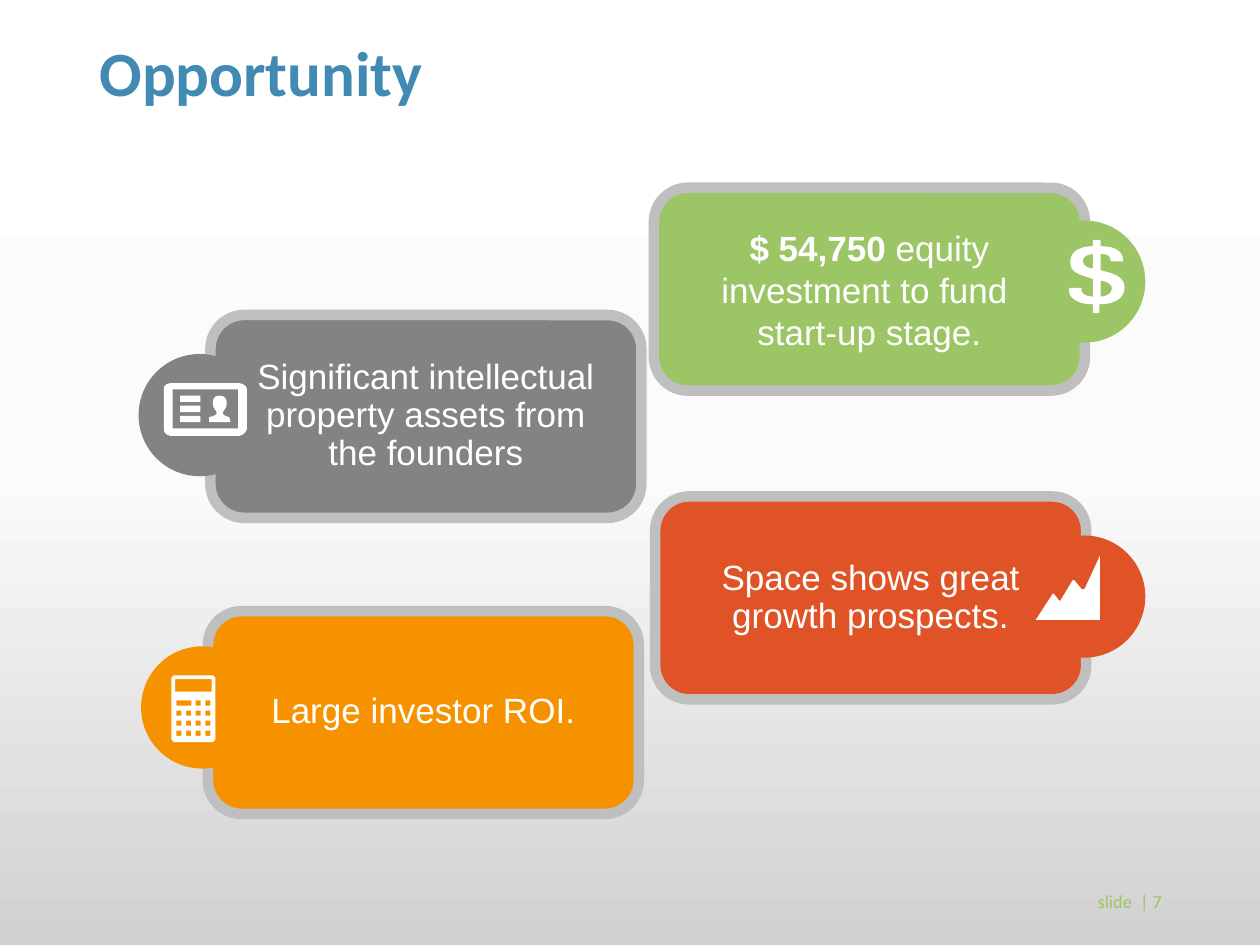
import copy

import pptx
import pptx.dml.color
import pptx.enum.shapes
import pptx.enum.text
import pptx.oxml.ns
import pptx.util

Inches = pptx.util.Inches
Pt = pptx.util.Pt
RGB = pptx.dml.color.RGBColor
SHAPES = pptx.enum.shapes.MSO_SHAPE
ALIGN = pptx.enum.text.PP_ALIGN
MIDDLE = pptx.enum.text.MSO_ANCHOR.MIDDLE

BLUE = RGB(0x41, 0x8A, 0xB3)
GRAY = RGB(0x83, 0x83, 0x83)
RED = RGB(0xDF, 0x53, 0x27)
ORANGE = RGB(0xF6, 0x92, 0x00)
GREEN = RGB(0x9C, 0xC5, 0x65)
BORDER = RGB(0xBF, 0xBF, 0xBF)
WHITE = RGB(0xFF, 0xFF, 0xFF)
BACKGROUND = [(0, WHITE), (0.5, RGB(0xFB, 0xFB, 0xFB)), (1, RGB(0xD1, 0xD1, 0xD1))]


def write(box, paragraphs, align, spacing, size, name, color):
    """Fill a box with paragraphs, each a list of (text, bold) spans."""
    frame = box.text_frame
    frame.word_wrap = True
    frame.vertical_anchor = MIDDLE
    for number, spans in enumerate(paragraphs):
        para = frame.add_paragraph() if number else frame.paragraphs[0]
        para.alignment = align
        para.line_spacing = spacing
        for text, bold in spans:
            span = para.add_run()
            span.text = text
            span.font.color.rgb = color
            for key, value in {"size": Pt(size), "name": name, "bold": bold}.items():
                setattr(span.font, key, value)


def draw_icon(contours):
    """Draw closed contours; pairs are corners, six numbers are a curve."""
    builder = None
    for start, *steps in contours:
        points = [start]
        for step in steps:
            if len(step) == 2:
                points.append(step)
                continue
            curve = [points[-1], step[:2], step[2:4], step[4:]]
            for t in (i / 8 for i in range(1, 9)):
                weights = ((1 - t) ** 3, 3 * t * (1 - t) ** 2, 3 * t * t * (1 - t), t ** 3)
                points.append(tuple(sum(w * p[axis] for w, p in zip(weights, curve))
                                    for axis in (0, 1)))
        points = [(Inches(x), Inches(y)) for x, y in points]
        if builder is None:
            builder = page.shapes.build_freeform(*points[0])
        else:
            builder.move_to(*points[0])
        builder.add_line_segments(points[1:], close=True)
    icon = builder.convert_to_shape()
    icon.shadow.inherit = False
    icon.fill.solid()
    icon.fill.fore_color.rgb = WHITE
    icon.line.fill.background()
    return icon


deck = pptx.Presentation()
deck.slide_width, deck.slide_height = Inches(10), Inches(7.5)
page = deck.slides.add_slide(deck.slide_layouts[5])

# Background gradient
fill = page.background.fill
fill.gradient()
fill.gradient_angle = 270
stop_list = page.element.find(".//" + pptx.oxml.ns.qn("a:gsLst"))
stop_list.append(copy.deepcopy(stop_list[-1]))
for stop, (position, color) in zip(fill.gradient_stops, BACKGROUND):
    stop.position = position
    stop.color.rgb = color

# Title
title = page.shapes.title
title.left, title.top = Inches(0.69), Inches(0.29)
title.width, title.height = Inches(8.62), Inches(0.63)
title.text_frame.auto_size = pptx.enum.text.MSO_AUTO_SIZE.NONE
write(title, [[("Opportunity", True)]], ALIGN.LEFT, 0.9, 36, "Calibri", BLUE)

# Cards
cards = [
    (1.67, 2.5, GRAY, 0.9,
     [[("Significant intellectual property assets from the founders", False)]]),
    (5.2, 3.94, RED, 0.9, [[("Space shows great growth prospects.", False)]]),
    (1.65, 4.85, ORANGE, 0.9, [[("Large investor ROI.", False)]]),
    (5.19, 1.49, GREEN, 1.0,
     [[("$ 54,750 ", True), ("equity investment to fund ", False)],
      [("start-up stage.", False)]]),
]
for left, top, color, spacing, paragraphs in cards:
    card = page.shapes.add_shape(SHAPES.ROUNDED_RECTANGLE, Inches(left), Inches(top),
                                 Inches(3.42), Inches(1.61))
    card.shadow.inherit = False
    card.fill.solid()
    card.fill.fore_color.rgb = color
    card.line.color.rgb = BORDER
    card.line.width = Pt(6)
    insets = {"margin_left": 0.26, "margin_right": 0.26,
              "margin_top": 0.29, "margin_bottom": 0.29}
    for key, value in insets.items():
        setattr(card.text_frame, key, Inches(value))
    write(card, paragraphs, ALIGN.CENTER, spacing, 20, "Arial", WHITE)

# Icon discs
for left, top, color in [(1.1, 2.81, GRAY), (8.12, 4.25, RED),
                         (8.12, 1.75, GREEN), (1.12, 5.13, ORANGE)]:
    disc = page.shapes.add_shape(SHAPES.OVAL, Inches(left), Inches(top),
                                 Inches(0.97), Inches(0.97))
    disc.shadow.inherit = False
    disc.fill.solid()
    disc.fill.fore_color.rgb = color
    disc.line.fill.background()

# Identity card icon: frame, window, text bars, person
bars = [[(1.43, y), (1.59, y), (1.59, y + 0.05), (1.43, y + 0.05)]
        for y in (3.14, 3.22, 3.3)]
draw_icon([
    [(1.89, 3.04), (1.37, 3.04), (1.32, 3.04, 1.3, 3.06, 1.3, 3.09), (1.3, 3.4),
     (1.3, 3.43, 1.32, 3.46, 1.37, 3.46), (1.89, 3.46),
     (1.92, 3.46, 1.96, 3.43, 1.96, 3.4), (1.96, 3.09),
     (1.96, 3.06, 1.92, 3.04, 1.89, 3.04)],
    [(1.37, 3.09), (1.89, 3.09), (1.89, 3.4), (1.37, 3.4)],
    *bars,
    [(1.82, 3.31), (1.82, 3.31, 1.77, 3.3, 1.77, 3.28),
     (1.77, 3.25, 1.8, 3.25, 1.8, 3.2), (1.8, 3.17, 1.79, 3.14, 1.74, 3.14),
     (1.7, 3.14, 1.69, 3.17, 1.69, 3.2), (1.69, 3.25, 1.72, 3.25, 1.72, 3.28),
     (1.72, 3.3, 1.66, 3.31, 1.66, 3.31), (1.66, 3.35), (1.83, 3.35)],
])

# Growth icon
draw_icon([[(8.73, 4.41), (8.61, 4.67), (8.6, 4.68, 8.59, 4.68, 8.58, 4.67),
            (8.53, 4.61), (8.52, 4.6, 8.52, 4.6, 8.51, 4.61), (8.42, 4.76),
            (8.42, 4.77, 8.41, 4.77, 8.4, 4.76), (8.37, 4.72),
            (8.36, 4.71, 8.35, 4.71, 8.35, 4.72), (8.22, 4.92), (8.73, 4.92)]])

# Dollar icon: outline and the two bowls
dollar = draw_icon([
    [(8.73, 1.91), (8.73, 1.96), (8.77, 1.96, 8.91, 1.96, 8.91, 2.07), (8.82, 2.07),
     (8.82, 2.02, 8.78, 2.01, 8.73, 2.01), (8.73, 2.15),
     (8.81, 2.17, 8.92, 2.19, 8.92, 2.28), (8.92, 2.35, 8.87, 2.38, 8.84, 2.39),
     (8.8, 2.41, 8.75, 2.41, 8.72, 2.41), (8.72, 2.48), (8.68, 2.48), (8.68, 2.41),
     (8.64, 2.41, 8.59, 2.41, 8.54, 2.38), (8.49, 2.35, 8.49, 2.32, 8.49, 2.29),
     (8.58, 2.29), (8.57, 2.32, 8.6, 2.36, 8.68, 2.36), (8.68, 2.21),
     (8.54, 2.17, 8.5, 2.15, 8.5, 2.08), (8.5, 2.02, 8.54, 1.99, 8.57, 1.98),
     (8.61, 1.96, 8.66, 1.96, 8.68, 1.96), (8.68, 1.91)],
    [(8.68, 2.01), (8.59, 2.02, 8.59, 2.06, 8.59, 2.07),
     (8.59, 2.12, 8.64, 2.13, 8.68, 2.14)],
    [(8.73, 2.36), (8.8, 2.36, 8.83, 2.32, 8.83, 2.29),
     (8.83, 2.24, 8.77, 2.23, 8.73, 2.22)],
])
dollar.line.color.rgb = WHITE
dollar.line.width = Pt(0.75)

# Calculator icon: body, screen, wide key, then the key grid
blocks = [(1.39, 5.39, 0.29, 0.1), (1.4, 5.56, 0.12, 0.04)]
for row in range(4):
    for column in range(4):
        if row or column > 1:
            blocks.append((1.4 + 0.23 / 3 * column, 5.56 + 0.08 * row, 0.04, 0.04))
body = [(1.38, 5.36), (1.69, 5.36), (1.71, 5.38), (1.71, 5.87),
        (1.69, 5.89), (1.38, 5.89), (1.36, 5.87), (1.36, 5.38)]
draw_icon([body] + [[(x, y), (x + w, y), (x + w, y + h), (x, y + h)]
                    for x, y, w, h in blocks])

# Slide number
footer = page.shapes.add_textbox(Inches(8.53), Inches(6.95), Inches(0.79), Inches(0.4))
write(footer, [[(" slide  | 7", False)]], ALIGN.RIGHT, 1.0, 10.5, "Calibri", GREEN)

deck.save("out.pptx")
